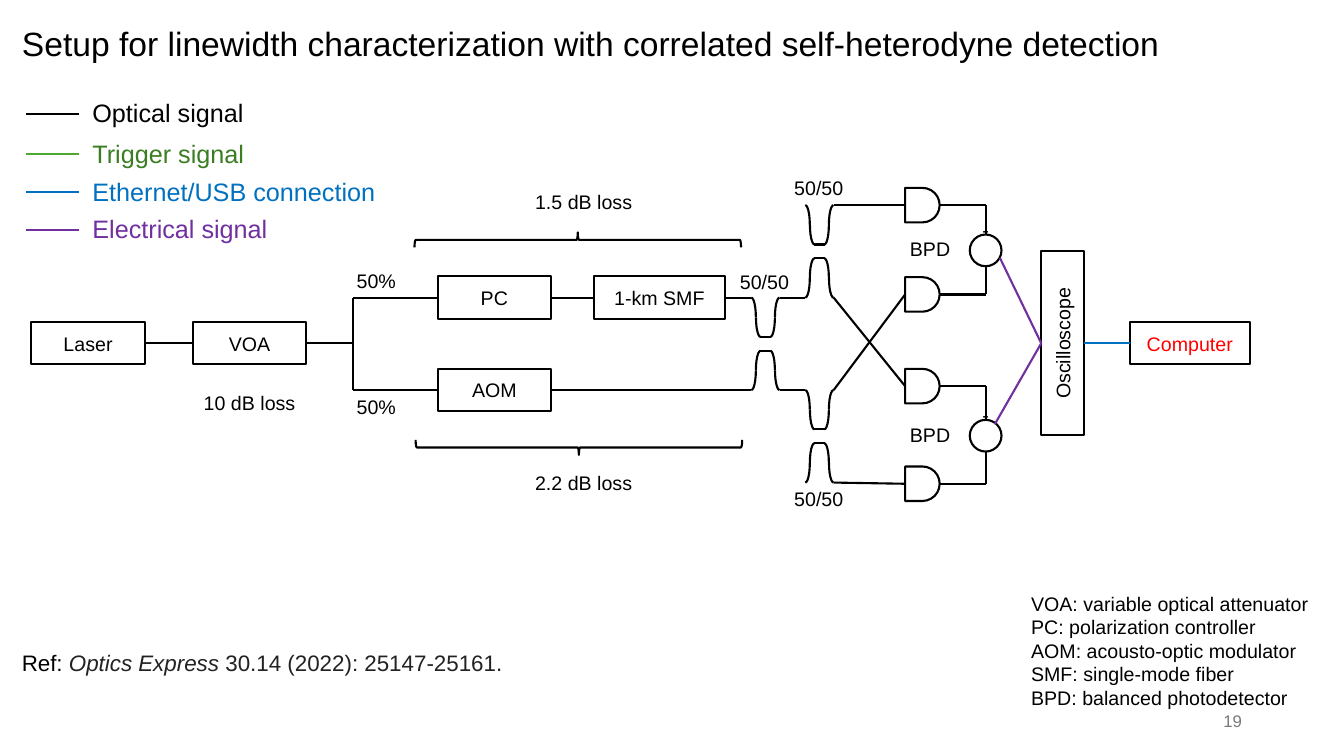
from lxml import etree
from pptx import Presentation
from pptx import util as u
from pptx.dml.color import RGBColor
from pptx.enum import shapes, text
from pptx.oxml.ns import qn

COLORS = {
    "black": "000000", "ink": "222222", "gray": "797979", "red": "FF0000",
    "green": "4EA72E", "dark_green": "3B7D23", "blue": "0070C0", "purple": "7030A0",
}
LEFT, CENTER, RIGHT = text.PP_ALIGN.LEFT, text.PP_ALIGN.CENTER, text.PP_ALIGN.RIGHT
SHAPE = shapes.MSO_SHAPE
TOP_SIDE, LEFT_SIDE, BOTTOM_SIDE, RIGHT_SIDE = range(4)
MID = 8.65
ROWS = [5.17 + 2.33 * i for i in range(4)]
BOX_H = 1.07
SPLIT_X = 8.9
COUPLER_X = [19.29, 20.65]
PORT = 0.36
ARC_W, ARC_H = 0.23, 0.99
DETECTOR_X, DETECTOR_SIZE = 22.81, 0.87
DETECTOR_ROWS = [5.17, 7.42, 9.73, 12.19]
SUM_X, SUM_SIZE = 24.84, 0.8


def rgb(name):
    return RGBColor.from_string(COLORS[name])


def cm(*lengths):
    return [u.Cm(n) for n in lengths]


def write(p, content, size=14, color="black", italic=False, align=LEFT):
    p.alignment = align
    r = p.add_run()
    r.text = content
    r.font.name = "Arial"
    r.font.size = u.Pt(size)
    r.font.italic = italic
    r.font.color.rgb = rgb(color)


def label(s, content, x, y, w, h=0.86, margin=0.25, anchor=text.MSO_ANCHOR.TOP, **fmt):
    tf = s.shapes.add_textbox(*cm(x, y, w, h)).text_frame
    tf.word_wrap = True
    tf.margin_left = tf.margin_right = u.Cm(margin)
    tf.vertical_anchor = anchor
    write(tf.paragraphs[0], content, **fmt)
    return tf.paragraphs[0]


def center_label(s, content, x, y, w):
    label(s, content, x, y, w, margin=0, align=CENTER)


def outline(s, kind, x, y, w, h, rotation=0, flip=False):
    sp = s.shapes.add_shape(kind, *cm(x, y, w, h))
    sp.shadow.inherit = False
    sp.fill.background()
    sp.line.color.rgb = rgb("black")
    sp.line.width = u.Pt(1.5)
    sp.rotation = rotation
    if flip:
        sp._element.spPr.find(qn("a:xfrm")).set("flipH", "1")
    return sp


def box(s, content, x, w=2.86, cy=MID, h=BOX_H, color="black", upright=False):
    sp = outline(s, SHAPE.RECTANGLE, x, cy - h / 2, w, h)
    tf = sp.text_frame
    tf.margin_left = tf.margin_right = 0
    tf.vertical_anchor = text.MSO_ANCHOR.MIDDLE
    if upright:
        tf._txBody.find(qn("a:bodyPr")).set("vert", "vert270")
    write(tf.paragraphs[0], content, color=color, align=CENTER)
    return sp


def wire(s, start, end, color="black"):
    joins = [not isinstance(e[0], (int, float)) for e in (start, end)]
    points = [(0, 0) if j else e for j, e in zip(joins, (start, end))]
    c = s.shapes.add_connector(shapes.MSO_CONNECTOR.STRAIGHT, *cm(*points[0], *points[1]))
    if joins[0]:
        c.begin_connect(*start)
    if joins[1]:
        c.end_connect(*end)
    c.line.color.rgb = rgb(color)
    c.line.width = u.Pt(1.5)
    etree.SubElement(c._element.spPr, qn("a:effectLst"))


def coupler(s, cx, y):
    lower = y + 1.34
    outer_left, inner_left, inner_right, outer_right = [cx + d for d in (-0.47, -0.24, 0.01, 0.24)]
    for x, top, rotation, flip in (
        (outer_left, y, 0, False), (inner_left, y, 180, False),
        (outer_right, y, 0, True), (inner_right, y, 180, True),
        (inner_left, lower, 0, True), (outer_left, lower, 180, True),
        (inner_right, lower, 0, False), (outer_right, lower, 180, False),
    ):
        outline(s, SHAPE.ARC, x, top, ARC_W, ARC_H, rotation, flip)
    for bar_y in (y + ARC_H, lower):
        wire(s, (cx - 0.13, bar_y), (cx + 0.13, bar_y))


def detector(s, cy):
    sp = outline(s, SHAPE.ROUND_2_SAME_RECTANGLE, DETECTOR_X, cy - DETECTOR_SIZE / 2,
                 DETECTOR_SIZE, DETECTOR_SIZE, 90)
    sp.adjustments[0] = 0.5
    sp.adjustments[1] = 0
    wire(s, (DETECTOR_X + DETECTOR_SIZE, cy), (SUM_X, cy))


def balanced_pair(s, upper, lower, top):
    outline(s, SHAPE.OVAL, SUM_X - SUM_SIZE / 2, top, SUM_SIZE, SUM_SIZE)
    wire(s, (SUM_X, upper), (SUM_X, top))
    wire(s, (SUM_X, top + SUM_SIZE), (SUM_X, lower))
    center_label(s, "-", SUM_X - 0.58, top - 0.54, 1.16)
    center_label(s, "BPD", 22.44, top - 0.06, 2)


def legend(s):
    for content, y, line, color in (
        ("Optical signal", 2.87, "black", "black"),
        ("Trigger signal", 3.89, "green", "dark_green"),
        ("Ethernet/USB connection", 4.85, "blue", "blue"),
        ("Electrical signal", 5.79, "purple", "purple"),
    ):
        wire(s, (0.66, y), (1.98, y), line)
        label(s, content, 2.08, y - 0.53, 7.72, 1.02, size=18, color=color)


def place(sp, x, y, w, h):
    sp.left, sp.top, sp.width, sp.height = cm(x, y, w, h)
    tf = sp.text_frame
    tf.auto_size = text.MSO_AUTO_SIZE.NONE
    tf.vertical_anchor = text.MSO_ANCHOR.TOP
    return tf


def abbreviations(tf, lines):
    for i, line in enumerate(lines):
        p = tf.add_paragraph() if i else tf.paragraphs[0]
        pPr = p._p.get_or_add_pPr()
        pPr.set("marL", "0")
        pPr.set("indent", "0")
        etree.SubElement(pPr, qn("a:buNone"))
        p.space_before = u.Pt(0)
        p.line_spacing = u.Pt(16.8)
        write(p, line)


def optical_path(s):
    laser = box(s, "Laser", 0.79)
    voa = box(s, "VOA", 4.86)
    pc = box(s, "PC", 11.03, cy=ROWS[1])
    smf = box(s, "1-km SMF", 14.97, 3.3, ROWS[1])
    aom = box(s, "AOM", 11.03, cy=ROWS[2])
    first, second = COUPLER_X
    wire(s, (laser, RIGHT_SIDE), (voa, LEFT_SIDE))
    wire(s, (voa, RIGHT_SIDE), (SPLIT_X, MID))
    wire(s, (SPLIT_X, ROWS[2]), (SPLIT_X, ROWS[1]))
    wire(s, (pc, RIGHT_SIDE), (smf, LEFT_SIDE))
    for y, head, tail in ((ROWS[1], pc, smf), (ROWS[2], aom, aom)):
        wire(s, (SPLIT_X, y), (head, LEFT_SIDE))
        wire(s, (tail, RIGHT_SIDE), (first - PORT, y))
        wire(s, (first + PORT, y), (second - PORT, y))
    for cx, y in ((first, ROWS[1]), (second, ROWS[0]), (second, ROWS[2])):
        coupler(s, cx, y)
    for y, target in zip(ROWS, (0, 2, 1, 3)):
        wire(s, (second + PORT, y), (DETECTOR_X, DETECTOR_ROWS[target]))


def detection(s):
    for cy in DETECTOR_ROWS:
        detector(s, cy)
    balanced_pair(s, *DETECTOR_ROWS[:2], 5.91)
    balanced_pair(s, *DETECTOR_ROWS[2:], 10.58)
    scope = box(s, "Oscilloscope", 26.24, BOX_H, h=4.63, upright=True)
    computer = box(s, "Computer", 28.47, 3.03, color="red")
    wire(s, (25.2, 6.5), (scope, LEFT_SIDE), "purple")
    wire(s, (25.07, 10.69), (scope, LEFT_SIDE), "purple")
    wire(s, (scope, RIGHT_SIDE), (computer, LEFT_SIDE), "blue")


def main():
    prs = Presentation()
    prs.slide_width, prs.slide_height = cm(33.87, 19.05)
    s = prs.slides.add_slide(prs.slide_layouts[1])
    title = place(s.shapes.title, 0.3, 0.46, 29.29, 1.27)
    write(title.paragraphs[0],
          "Setup for linewidth characterization with correlated self-heterodyne detection", size=24)
    abbreviations(place(s.placeholders[1], 25.73, 14.78, 8.05, 3.25), (
        "VOA: variable optical attenuator", "PC: polarization controller",
        "AOM: acousto-optic modulator", "SMF: single-mode fiber",
        "BPD: balanced photodetector"))
    optical_path(s)
    detection(s)
    legend(s)
    for content, x, y, w in (
        ("50%", 8.71, 6.65, 1.55), ("50%", 8.71, 9.83, 1.55),
        ("50/50", 18.16, 6.68, 2.21), ("50/50", 19.53, 4.32, 2.21), ("50/50", 19.53, 12.14, 2.21),
        ("10 dB loss", 4.83, 9.73, 2.92),
        ("1.5 dB loss", 12.83, 4.67, 3.76), ("2.2 dB loss", 12.83, 11.73, 3.76),
    ):
        center_label(s, content, x, y, w)
    outline(s, SHAPE.LEFT_BRACE, 14.37, 1.93, 0.38, 8.23, 90)
    outline(s, SHAPE.LEFT_BRACE, 14.4, 7.16, 0.38, 8.23, 270)
    ref = label(s, "Ref: ", 0.3, 16.23, 13.28, 0.94, size=16)
    write(ref, "Optics Express", size=16, color="ink", italic=True)
    write(ref, " 30.14 (2022): 25147-25161.", size=16, color="ink")
    label(s, "19", 23.93, 17.65, 7.62, 1.02, anchor=text.MSO_ANCHOR.MIDDLE,
          size=12, color="gray", align=RIGHT)
    prs.save("out.pptx")


if __name__ == "__main__":
    main()
